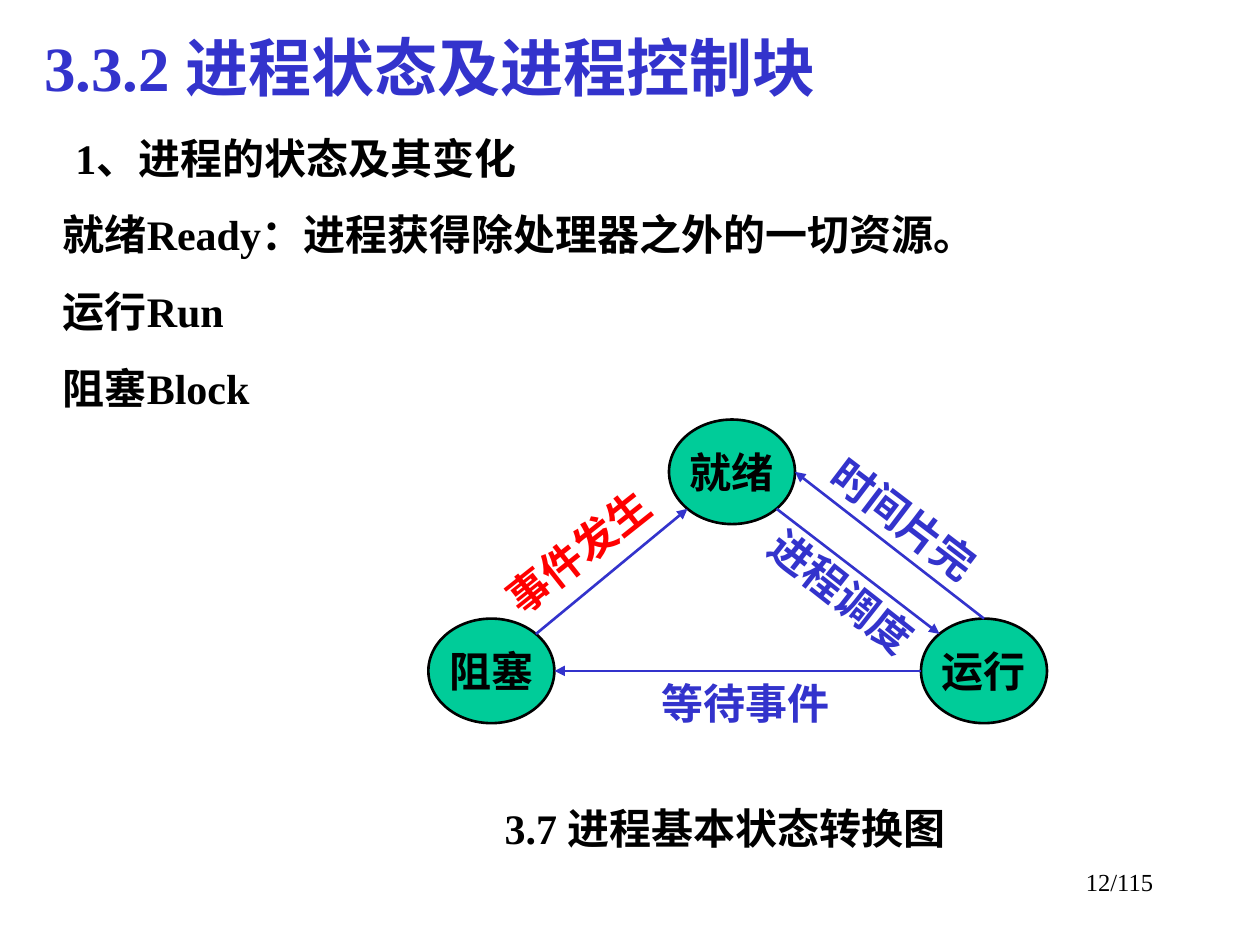
from math import cos, radians, sin

from lxml import etree
from pptx import Presentation
from pptx.dml.color import RGBColor
from pptx.enum.shapes import MSO_CONNECTOR, MSO_SHAPE
from pptx.enum.text import MSO_ANCHOR, PP_ALIGN
from pptx.oxml.ns import qn
from pptx.util import Inches, Pt

OVAL, STRAIGHT = MSO_SHAPE.OVAL, MSO_CONNECTOR.STRAIGHT
TOP, MIDDLE = MSO_ANCHOR.TOP, MSO_ANCHOR.MIDDLE
LEFT, CENTER, RIGHT, JUSTIFY = PP_ALIGN.LEFT, PP_ALIGN.CENTER, PP_ALIGN.RIGHT, PP_ALIGN.JUSTIFY

THEME = {
    "font": "Times New Roman",
    "blue": RGBColor(0x33, 0x33, 0xCC),
    "red": RGBColor(0xFF, 0, 0),
    "green": RGBColor(0, 0xCC, 0x99),
    "black": RGBColor(0, 0, 0),
    "title": Pt(36),
    "text": Pt(24),
    "number": Pt(14),
    "line": Pt(1.5),
}


def write(tf, lines, color="black", size="text", bold=True, align=LEFT, anchor=TOP, wrap=True):
    """Fill a text frame, one paragraph per line."""
    tf.word_wrap, tf.vertical_anchor = wrap, anchor
    for i, line in enumerate(lines):
        p = tf.paragraphs[0] if i == 0 else tf.add_paragraph()
        p.alignment = align
        p.space_before = Pt(15 if i else 0)
        r = p.add_run()
        r.text = line
        r.font.color.rgb = THEME[color]
        for name, value in {"name": THEME["font"], "size": THEME[size], "bold": bold}.items():
            setattr(r.font, name, value)


def add_text(box, lines, rotation=0, **text_format):
    tb = s.shapes.add_textbox(*map(Inches, box))
    tb.rotation = rotation
    write(tb.text_frame, lines, **text_format)
    return tb.text_frame


prs = Presentation()
prs.slide_width, prs.slide_height = Inches(10), Inches(7.5)
s = prs.slides.add_slide(prs.slide_layouts[5])

# Heading and list of states
title = s.shapes.title
title.left, title.top, title.width, title.height = map(Inches, (0.25, 0.18, 9.25, 0.75))
write(title.text_frame, ["3.3.2 进程状态及进程控制块"], color="blue", size="title", align=JUSTIFY)
body = add_text((0.25, 1, 9.25, 2.32), [
    "1、进程的状态及其变化",
    "就绪Ready：进程获得除处理器之外的一切资源。",
    "运行Run",
    "阻塞Block",
], align=JUSTIFY)
for i, p in enumerate(body.paragraphs):
    p._p.get_or_add_pPr().set("marL", str(Inches(0.15 if i else 0.25)))

# State nodes
NODE_W, NODE_H = 1, 0.83
states = {"就绪": (5.31, 3.33), "阻塞": (3.4, 4.91), "运行": (7.31, 4.91)}
for name, (x, y) in states.items():
    sp = s.shapes.add_shape(OVAL, *map(Inches, (x, y, NODE_W, NODE_H)))
    sp.shadow.inherit = False
    sp.fill.solid()
    sp.fill.fore_color.rgb = THEME["green"]
    sp.line.color.rgb = THEME["black"]
    sp.line.width = THEME["line"]
    write(sp.text_frame, [name], align=CENTER, anchor=MIDDLE, wrap=False)

# Transitions: state and angle on its rim (clockwise from the right) at each end
transitions = [
    ("阻塞", -45, "就绪", 135),
    ("运行", 180, "阻塞", 0),
    ("就绪", 45, "运行", -135),
    ("运行", -90, "就绪", 0),
]
for start, start_angle, end, end_angle in transitions:
    ends = []
    for state, angle in ((start, start_angle), (end, end_angle)):
        x, y = states[state]
        ends += [x + NODE_W / 2 * (1 + cos(radians(angle))),
                 y + NODE_H / 2 * (1 + sin(radians(angle)))]
    arrow = s.shapes.add_connector(STRAIGHT, *map(Inches, ends))
    arrow.line.color.rgb = THEME["blue"]
    arrow.line.width = THEME["line"]
    etree.SubElement(arrow.line._get_or_add_ln(), qn("a:tailEnd"), type="triangle")
    etree.SubElement(arrow._element.spPr, qn("a:effectLst"))

# Transition labels
for label, x, y, rotation, color in [
    ("等待事件", 5.15, 5.33, 0, "blue"),
    ("事件发生", 3.81, 4.08, 321.6, "red"),
    ("时间片完", 6.4, 3.91, 37.3, "blue"),
    ("进程调度", 5.9, 4.49, 38.3, "blue"),
]:
    add_text((x, y, 1.67, 0.5), [label], rotation, color=color)

# Caption and page number
add_text((3.66, 6.32, 4.19, 0.5), ["3.7 进程基本状态转换图"], align=CENTER)
add_text((7.17, 6.83, 2.08, 0.5), ["12/115"], size="number", bold=False, align=RIGHT)

prs.save("out.pptx")
